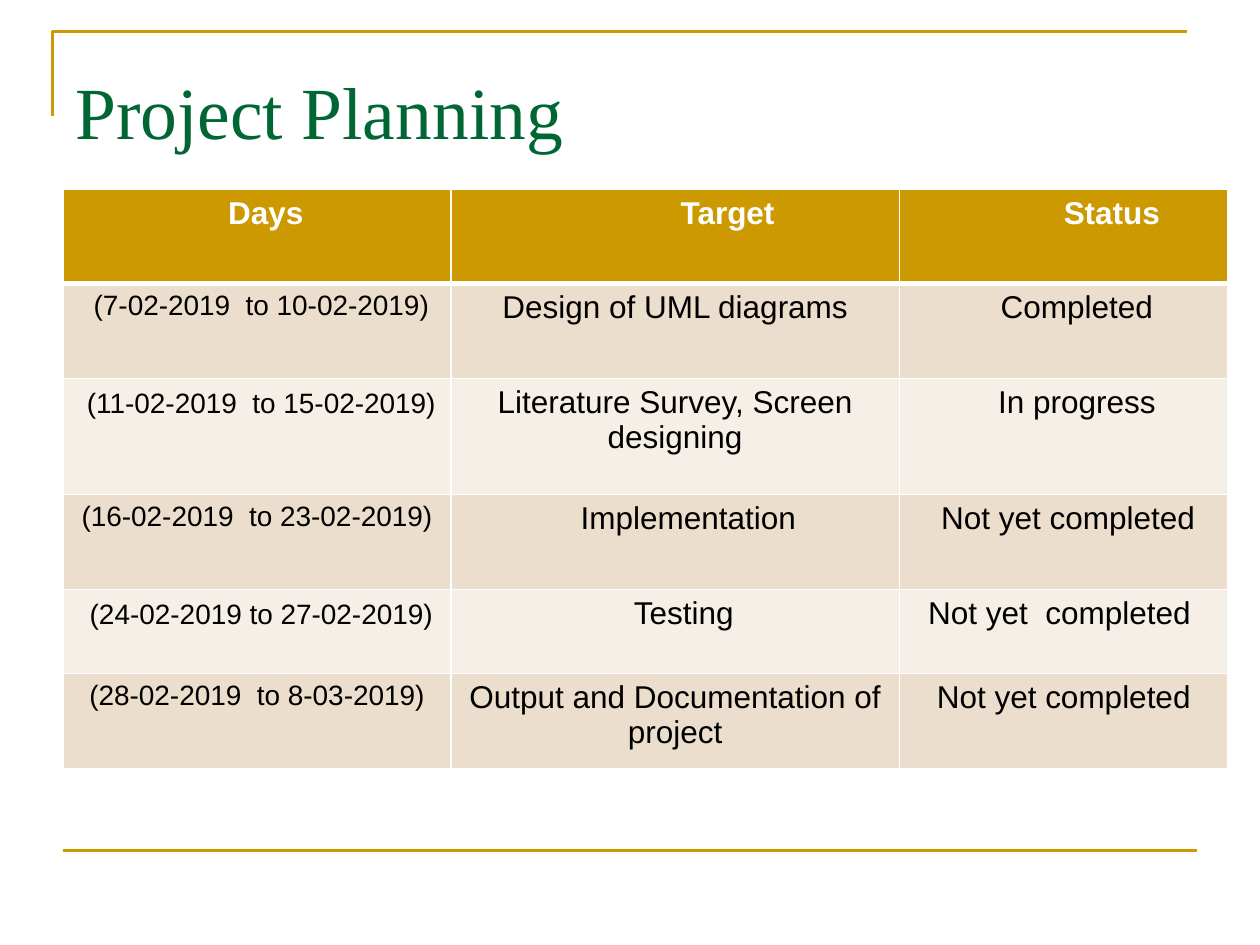
from lxml.etree import SubElement
from pptx import Presentation
from pptx.dml.color import RGBColor
from pptx.enum.shapes import MSO_CONNECTOR as CONN
from pptx.enum.text import PP_ALIGN as ALIGN
from pptx.oxml import parse_xml
from pptx.oxml.ns import nsdecls, qn
from pptx.util import Cm, Pt

COLORS = {"gold": "CC9900", "green": "006633", "white": "FFFFFF",
          "black": "000000", "sand": "ECDECC", "cream": "F6EFE7"}
COL_WIDTHS = [7.82, 9.04, 6.63]
ROW_HEIGHTS = [1.91, 1.91, 2.34, 1.91, 1.7, 1.91]
CELL_MARGIN = Cm(0.25)
SPACE = Pt(5)

# Each cell: text and its sideways offset in spaces (negative moves it left)
HEADER = [("Days", 2), ("Target", 12), ("Status", 11)]
TASKS = [
    [("(7-02-2019  to 10-02-2019)", 1), ("Design of UML diagrams", 0), ("Completed", 3)],
    [("(11-02-2019  to 15-02-2019)", 1), ("Literature Survey, Screen designing", 0),
     ("In progress", 3)],
    [("(16-02-2019  to 23-02-2019)", 0), ("Implementation", 3), ("Not yet completed", 1)],
    [("(24-02-2019 to 27-02-2019)", 1), ("Testing", 2), ("Not yet  completed", -1)],
    [("(28-02-2019  to 8-03-2019)", 0), ("Output and Documentation of project", 0),
     ("Not yet completed", 0)],
]


def rgb(name):
    """Return the named colour."""
    return RGBColor.from_string(COLORS[name])


def write(tf, text, size=18, color="black", font="Arial", bold=False, align=ALIGN.LEFT):
    """Write one formatted paragraph into a text frame."""
    tf.word_wrap = True
    p = tf.paragraphs[0]
    p.alignment = align
    r = p.add_run()
    r.text = text
    r.font.size, r.font.name, r.font.bold = Pt(size), font, bold
    r.font.color.rgb = rgb(color)


def style_line(sp):
    """Give a line its gold colour and width."""
    sp.line.color.rgb = rgb("gold")
    sp.line.width = Pt(1.5)


def add_frame(s):
    """Draw the corner bracket and the footer rule."""
    builder = s.shapes.build_freeform(Cm(1.06), Cm(2.34))
    builder.add_line_segments([(Cm(1.06), Cm(0.64)), (Cm(23.92), Cm(0.64))], close=False)
    bracket = builder.convert_to_shape()
    bracket.shadow.inherit = False
    bracket.fill.background()
    style_line(bracket)
    rule = s.shapes.add_connector(CONN.STRAIGHT, Cm(1.27), Cm(17.15), Cm(24.13), Cm(17.15))
    style_line(rule)
    SubElement(rule._element.spPr, qn("a:effectLst"))


def add_title(s, text):
    """Add the slide title."""
    tf = s.shapes.add_textbox(Cm(1.27), Cm(1.06), Cm(22.86), Cm(3.81)).text_frame
    tf.margin_top = Cm(0.28)
    write(tf, text, size=42, color="green", font="Times New Roman")


def set_borders(cell, widths):
    """Draw white cell borders; widths maps a side to points."""
    tc_pr = cell._tc.get_or_add_tcPr()
    for i, side in enumerate("LRTB"):
        tc_pr.insert(i, parse_xml(
            f'<a:ln{side} {nsdecls("a")} w="{Pt(widths[side])}"><a:solidFill>'
            f'<a:srgbClr val="{COLORS["white"]}"/></a:solidFill></a:ln{side}>'))


def fill_cell(cell, text, offset, fill, bottom=1, top=1, drop=0, **fmt):
    """Fill one table cell with centred text shifted by its offset."""
    cell.fill.solid()
    cell.fill.fore_color.rgb = rgb(fill)
    cell.margin_left = CELL_MARGIN + max(offset, 0) * SPACE
    cell.margin_right = CELL_MARGIN + max(-offset, 0) * SPACE
    cell.margin_top = Cm(0.13) + Pt(drop)
    write(cell.text_frame, text, align=ALIGN.CENTER, **fmt)
    set_borders(cell, {"L": 1, "R": 1, "T": top, "B": bottom})


def add_plan(s):
    """Add the planning table."""
    table = s.shapes.add_table(len(ROW_HEIGHTS), len(COL_WIDTHS), Cm(1.27), Cm(3.81),
                               Cm(sum(COL_WIDTHS)), Cm(sum(ROW_HEIGHTS))).table
    for col, width in zip(table.columns, COL_WIDTHS):
        col.width = Cm(width)
    for row, height in zip(table.rows, ROW_HEIGHTS):
        row.height = Cm(height)
    for c, (text, offset) in enumerate(HEADER):
        fill_cell(table.cell(0, c), text, offset, "gold", bottom=3, color="white", bold=True)
    for r, task in enumerate(TASKS, start=1):
        odd = r % 2 == 1
        for c, (text, offset) in enumerate(task):
            is_date = c == 0
            fill_cell(table.cell(r, c), text, offset, "sand" if odd else "cream",
                      top=3 if r == 1 else 1, drop=2 if is_date and not odd else 0,
                      size=16 if is_date else 18)


def main():
    """Build the slide and save it."""
    prs = Presentation()
    prs.slide_width, prs.slide_height = Cm(25.4), Cm(19.05)
    s = prs.slides.add_slide(prs.slide_layouts[6])
    add_frame(s)
    add_title(s, "Project Planning")
    add_plan(s)
    prs.save("out.pptx")


main()
